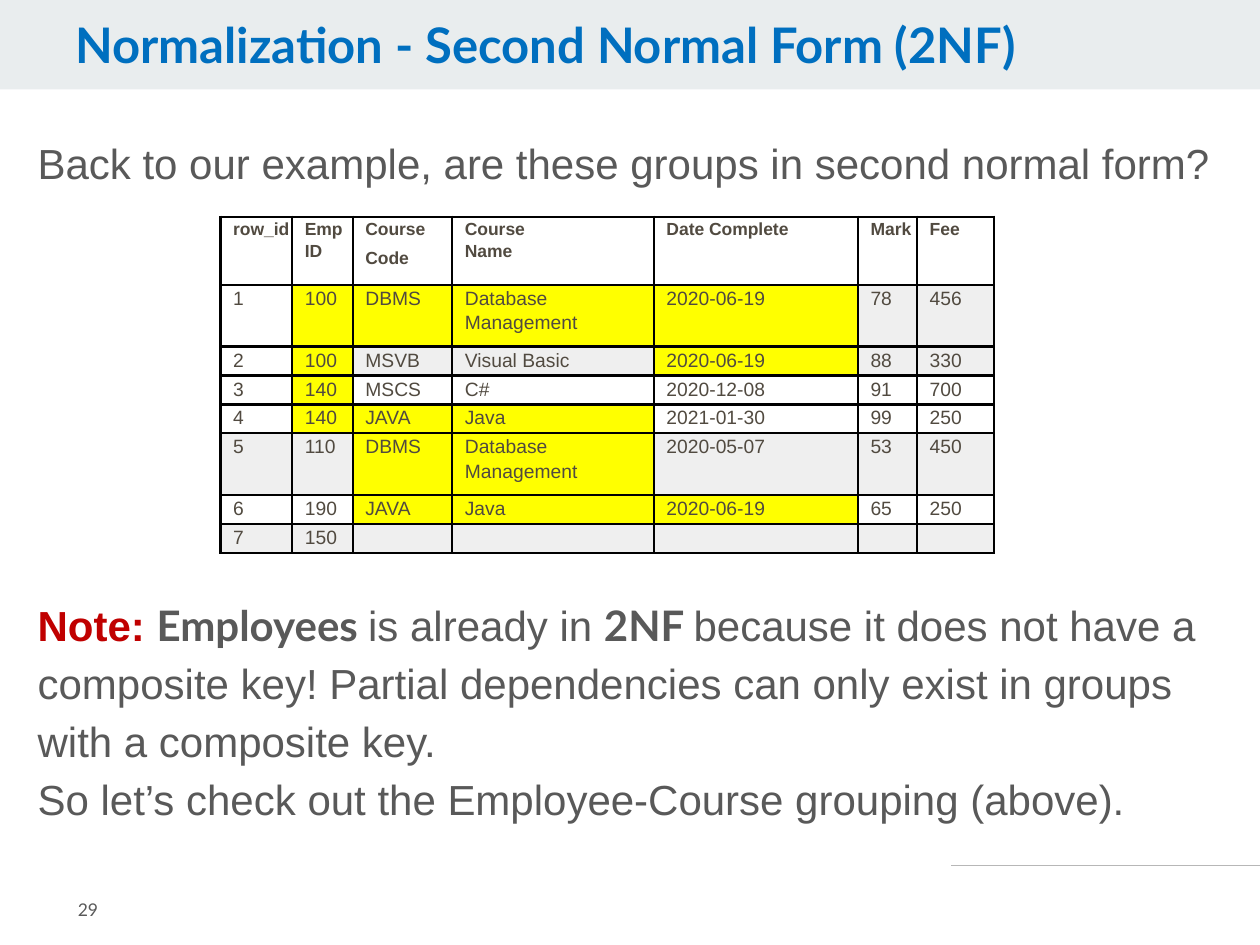
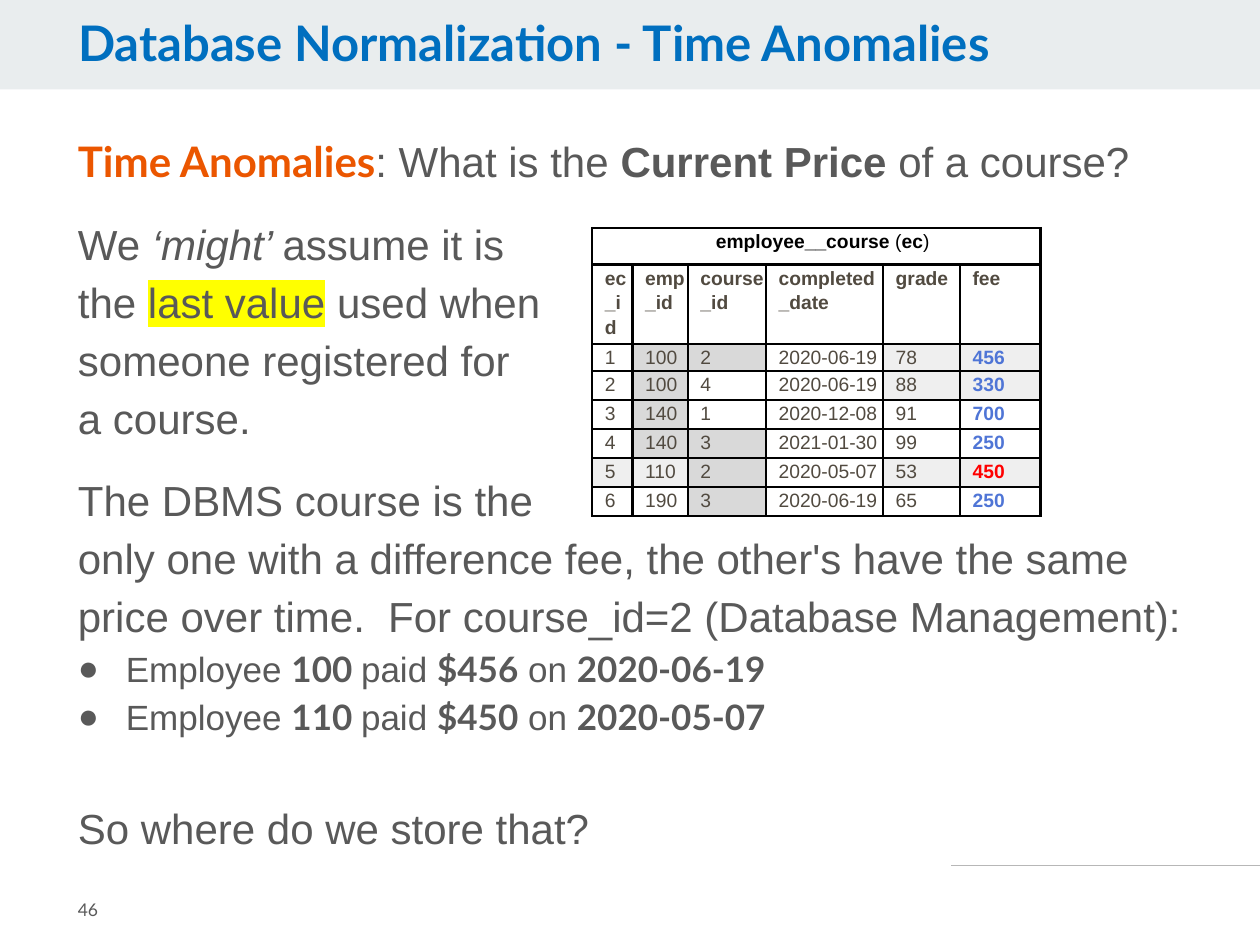
from dataclasses import dataclass
from typing import NamedTuple, Optional

from lxml import etree
from pptx import Presentation
from pptx.dml.color import RGBColor
from pptx.enum import shapes, text
from pptx.oxml import ns
from pptx.util import Inches, Pt

TITLE_BLUE = RGBColor(0x00, 0x6F, 0xBF)
BAND_GREY = RGBColor(0xE9, 0xED, 0xEE)
RULE_GREY = RGBColor(0xB7, 0xB7, 0xB7)
BODY_GREY = RGBColor(0x59, 0x59, 0x59)
CELL_BROWN = RGBColor(0x51, 0x4A, 0x40)
BLACK = RGBColor(0x00, 0x00, 0x00)
NOTE_RED = RGBColor(0xC0, 0x00, 0x00)
TERM_ORANGE = RGBColor(0xEB, 0x56, 0x00)
FEE_BLUE = RGBColor(0x4F, 0x75, 0xD6)
FEE_RED = RGBColor(0xFF, 0x00, 0x00)
YELLOW = RGBColor(0xFF, 0xFF, 0x00)
PALE_GREY = RGBColor(0xEF, 0xEF, 0xEF)
MID_GREY = RGBColor(0xD9, 0xD9, 0xD9)

SHADES = {"Y": YELLOW, "P": PALE_GREY, "M": MID_GREY}  # "." leaves a cell unfilled
BODY_FONT = "Arial"
ACCENT_FONT = "Lato"


class Span(NamedTuple):
    text: str
    bold: bool = False
    italic: bool = False
    font: str = BODY_FONT
    color: RGBColor = BODY_GREY
    highlight: Optional[RGBColor] = None


class Para(NamedTuple):
    spans: tuple[Span, ...]
    size: float = 24
    space_before: float = 0
    bullet: bool = False


class Box(NamedTuple):
    left: float
    top: float
    width: float
    height: float

    def emu(self) -> list[int]:
        return [Inches(side) for side in self]


class Row(NamedTuple):
    height: float
    cells: tuple[str, ...]
    shades: str
    header: bool = False


@dataclass
class Grid:
    left: float
    top: float
    widths: tuple[float, ...]
    rows: tuple[Row, ...]
    header_size: float
    fee_colors: bool = False


def strong(words: str, color: RGBColor = BODY_GREY) -> Span:
    """Bold words in the accent font."""
    return Span(words, bold=True, font=ACCENT_FONT, color=color)


def plain(words: str, space_before: float = 0) -> Para:
    return Para((Span(words),), space_before=space_before)


def sub(parent, tag: str, **attributes: str):
    return etree.SubElement(parent, ns.qn(tag), attributes)


def style_run(run, size: float, font: str, color: RGBColor, bold=False, italic=False) -> None:
    run.font.size = Pt(size)
    run.font.name = font
    run.font.color.rgb = color
    run.font.bold = bold
    run.font.italic = italic


def add_span(paragraph, span: Span, size: float) -> None:
    run = paragraph.add_run()
    run.text = span.text
    style_run(run, size, span.font, span.color, span.bold, span.italic)
    if span.highlight is not None:
        properties = run.font._element
        marker = sub(properties, "a:highlight")
        sub(marker, "a:srgbClr", val=str(span.highlight))
        properties.find(ns.qn("a:latin")).addprevious(marker)


def add_bullet(paragraph) -> None:
    properties = paragraph._p.get_or_add_pPr()
    properties.set("marL", str(Inches(0.38)))
    properties.set("indent", str(-Inches(0.38)))
    sub(sub(properties, "a:buClr"), "a:srgbClr", val=str(BODY_GREY))
    sub(properties, "a:buFont", typeface=BODY_FONT)
    sub(properties, "a:buChar", char="●")


def add_body(slide, box: Box, paras: tuple[Para, ...]) -> None:
    frame = slide.shapes.add_textbox(*box.emu()).text_frame
    frame.word_wrap = True
    for index, para in enumerate(paras):
        paragraph = frame.add_paragraph() if index else frame.paragraphs[0]
        paragraph.line_spacing = 1.15
        paragraph.space_before = Pt(para.space_before)
        if para.bullet:
            add_bullet(paragraph)
        for span in para.spans:
            add_span(paragraph, span, para.size)


def add_frame(slide, heading: str, title_box: Box, number: str) -> None:
    """Title on its band, footer rule and page number."""
    title = slide.shapes.title
    title.left, title.top, title.width, title.height = title_box.emu()
    frame = title.text_frame
    frame.text = heading
    frame.auto_size = text.MSO_AUTO_SIZE.NONE
    frame.vertical_anchor = text.MSO_ANCHOR.MIDDLE
    paragraph = frame.paragraphs[0]
    paragraph.alignment = text.PP_ALIGN.LEFT
    paragraph.line_spacing = 0.9
    style_run(paragraph.runs[0], 28, ACCENT_FONT, TITLE_BLUE, bold=True)

    band = slide.shapes.add_shape(shapes.MSO_SHAPE.RECTANGLE, *Box(0, 0, 10, 0.71).emu())
    band.shadow.inherit = False
    band.fill.solid()
    band.fill.fore_color.rgb = BAND_GREY
    band.line.fill.background()
    title.element.addprevious(band.element)

    rule = slide.shapes.add_connector(
        shapes.MSO_CONNECTOR.STRAIGHT, Inches(7.55), Inches(6.87), Inches(10), Inches(6.87))
    rule.line.color.rgb = RULE_GREY
    rule.line.width = Pt(0.75)
    sub(rule.element.spPr, "a:effectLst")

    page = slide.shapes.add_textbox(*Box(0.52, 6.93, 1.23, 0.57).emu()).text_frame
    page.word_wrap = True
    page.vertical_anchor = text.MSO_ANCHOR.MIDDLE
    page.text = number
    style_run(page.paragraphs[0].runs[0], 10, ACCENT_FONT, BODY_GREY)


def add_borders(cell) -> None:
    properties = cell._tc.get_or_add_tcPr()
    for side in ("a:lnL", "a:lnR", "a:lnT", "a:lnB"):
        edge = sub(properties, side, w=str(Pt(1.5)))
        sub(sub(edge, "a:solidFill"), "a:srgbClr", val=str(BLACK))


def fill_cell(cell, words: str, size: float, color: RGBColor, bold: bool, shade: str) -> None:
    cell.margin_left = Inches(0.1)
    cell.margin_right = cell.margin_top = cell.margin_bottom = 0
    add_borders(cell)
    if shade in SHADES:
        cell.fill.solid()
        cell.fill.fore_color.rgb = SHADES[shade]
    else:
        cell.fill.background()
    cell.text_frame.text = words
    for paragraph in cell.text_frame.paragraphs:
        paragraph.line_spacing = 1.15
        paragraph.space_before = Pt(4)
        for run in paragraph.runs:
            style_run(run, size, BODY_FONT, color, bold)
        if not words:
            sub(paragraph._p, "a:endParaRPr", sz=str(size * 100))


def add_grid(slide, grid: Grid):
    box = Box(grid.left, grid.top, sum(grid.widths), sum(row.height for row in grid.rows))
    table = slide.shapes.add_table(len(grid.rows), len(grid.widths), *box.emu()).table
    table.first_row = table.horz_banding = False
    for column, width in zip(table.columns, grid.widths):
        column.width = Inches(width)
    for r, row in enumerate(grid.rows):
        table.rows[r].height = Inches(row.height)
        for c, (words, shade) in enumerate(zip(row.cells, row.shades)):
            size = grid.header_size if row.header else 11
            color, bold = CELL_BROWN, row.header
            if grid.fee_colors and not row.header and c == len(grid.widths) - 1:
                color, bold = FEE_RED if words == "450" else FEE_BLUE, True
            fill_cell(table.cell(r, c), words, size, color, bold, shade)
    return table


COURSES = Grid(
    1.75, 1.72, (0.57, 0.48, 0.79, 1.6, 1.62, 0.47, 0.61),
    (
        Row(0.54, ("row_id", "Emp ID", "Course\nCode", "Course\vName", "Date Complete",
                   "Mark", "Fee"), ".......", header=True),
        Row(0.49, ("1", "100", "DBMS", "Database Management", "2020-06-19", "78", "456"), ".YYYYPP"),
        Row(0.23, ("2", "100", "MSVB", "Visual Basic", "2020-06-19", "88", "330"), ".YPPYPP"),
        Row(0.23, ("3", "140", "MSCS", "C#", "2020-12-08", "91", "700"), ".Y....."),
        Row(0.23, ("4", "140", "JAVA", "Java", "2021-01-30", "99", "250"), ".YYY..."),
        Row(0.49, ("5", "110", "DBMS", "Database Management", "2020-05-07", "53", "450"), "PPYYPPP"),
        Row(0.23, ("6", "190", "JAVA", "Java", "2020-06-19", "65", "250"), "..YYY.."),
        Row(0.23, ("7", "150", "", "", "", "", ""), "PPPPPPP"),
    ),
    header_size=10,
)

EMPLOYEE_COURSE = Grid(
    4.7, 1.81, (0.32, 0.44, 0.62, 0.93, 0.61, 0.64),
    (
        Row(0.29, ("",) * 6, "......", header=True),
        Row(0.54, ("ec_id", "emp_id", "course_id", "completed_date", "grade", "fee"),
            "......", header=True),
        Row(0.21, ("1", "100", "2", "2020-06-19", "78", "456"), ".MM.PP"),
        Row(0.23, ("2", "100", "4", "2020-06-19", "88", "330"), ".M..PP"),
        Row(0.23, ("3", "140", "1", "2020-12-08", "91", "700"), ".M...."),
        Row(0.23, ("4", "140", "3", "2021-01-30", "99", "250"), ".MM..."),
        Row(0.23, ("5", "110", "2", "2020-05-07", "53", "450"), "PPM.PP"),
        Row(0.23, ("6", "190", "3", "2020-06-19", "65", "250"), "..M..."),
    ),
    header_size=11,
    fee_colors=True,
)


def payment(employee: str, fee: str, date: str) -> Para:
    spans = (Span("Employee "), strong(employee + " "), Span("paid "), strong(fee),
             Span(" on "), strong(date))
    return Para(spans, size=20, bullet=True)


def build_second_normal_form(slide) -> None:
    add_frame(slide, "Normalization - Second Normal Form (2NF)", Box(0.5, 0.1, 7.88, 0.55), "29")
    note = (
        Span("Note: ", bold=True, color=NOTE_RED), strong("Employees "),
        Span("is already in "), strong("2NF "),
        Span("because it does not have a composite key! Partial dependencies can only "
             "exist in groups with a composite key."),
    )
    add_body(slide, Box(0.2, 0.98, 9.55, 5.66), (
        plain("Back to our example, are these groups in second normal form?"),
        Para(note, space_before=231),
        plain("So let’s check out the Employee-Course grouping (above)."),
    ))
    add_grid(slide, COURSES)


def build_time_anomalies(slide) -> None:
    add_frame(slide, "Database Normalization - Time Anomalies", Box(0.52, 0.09, 7.88, 0.55), "46")
    add_body(slide, Box(0.52, 0.97, 9.11, 5.29), (
        Para((strong("Time Anomalies", TERM_ORANGE), Span(": What is the "),
              Span("Current Price ", bold=True), Span("of a course?"))),
        Para((Span("We "), Span("‘might’ ", italic=True), Span("assume it is")), space_before=14),
        Para((Span("the "), Span("last value", highlight=YELLOW), Span(" used when"))),
        plain("someone registered for"),
        plain("a course."),
        plain("The DBMS course is the", space_before=14),
        plain("only one with a difference fee, the other's have the same price over time.  "
              "For course_id=2 (Database Management):"),
        payment("100", "$456", "2020-06-19"),
        payment("110", "$450", "2020-05-07"),
        plain("So where do we store that?", space_before=33),
    ))
    table = add_grid(slide, EMPLOYEE_COURSE)
    caption = table.cell(0, 0)
    caption.merge(table.cell(0, len(EMPLOYEE_COURSE.widths) - 1))
    paragraph = caption.text_frame.paragraphs[0]
    paragraph.alignment = text.PP_ALIGN.CENTER
    for words, bold in (("employee__course ", True), ("(", False), ("ec", True), (")", False)):
        add_span(paragraph, Span(words, bold=bold, color=BLACK), 11)


def main() -> None:
    deck = Presentation()
    deck.slide_width, deck.slide_height = Inches(10), Inches(7.5)
    title_only = deck.slide_layouts[5]
    for build in (build_second_normal_form, build_time_anomalies):
        build(deck.slides.add_slide(title_only))
    deck.save("out.pptx")


if __name__ == "__main__":
    main()
